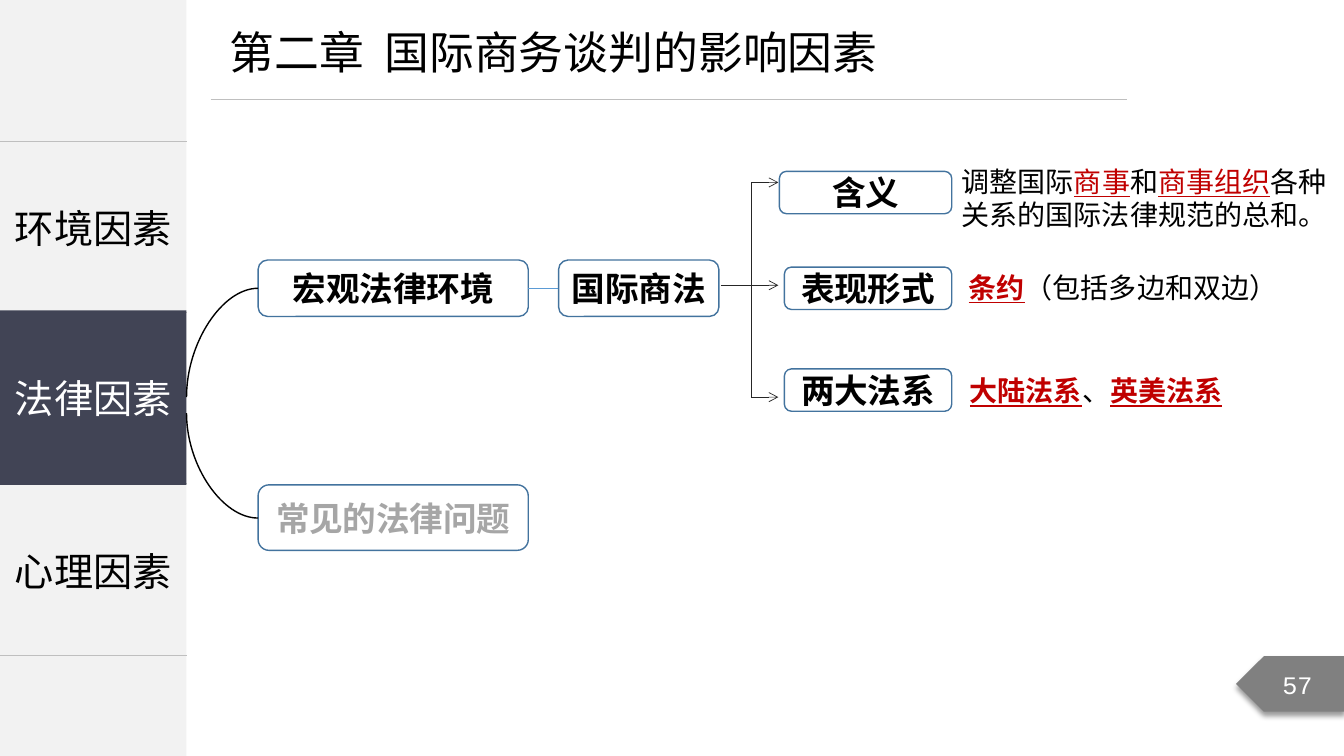
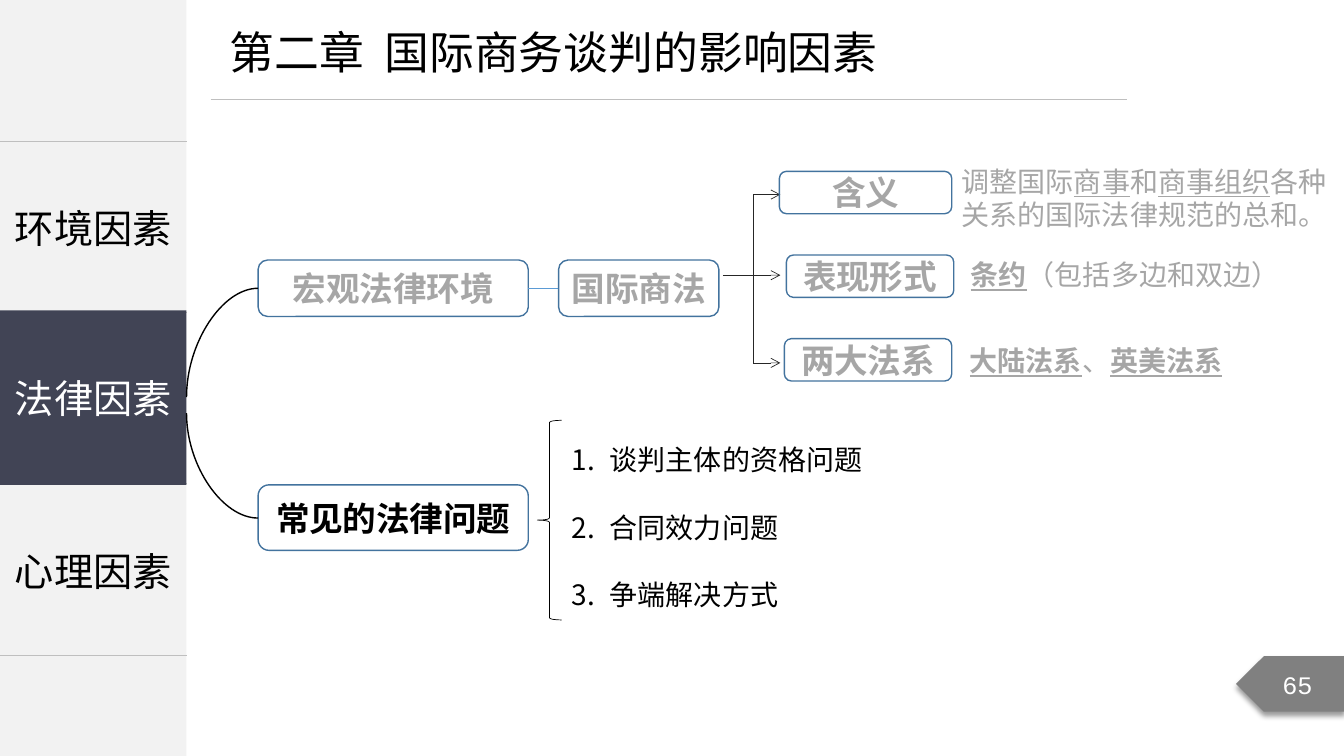
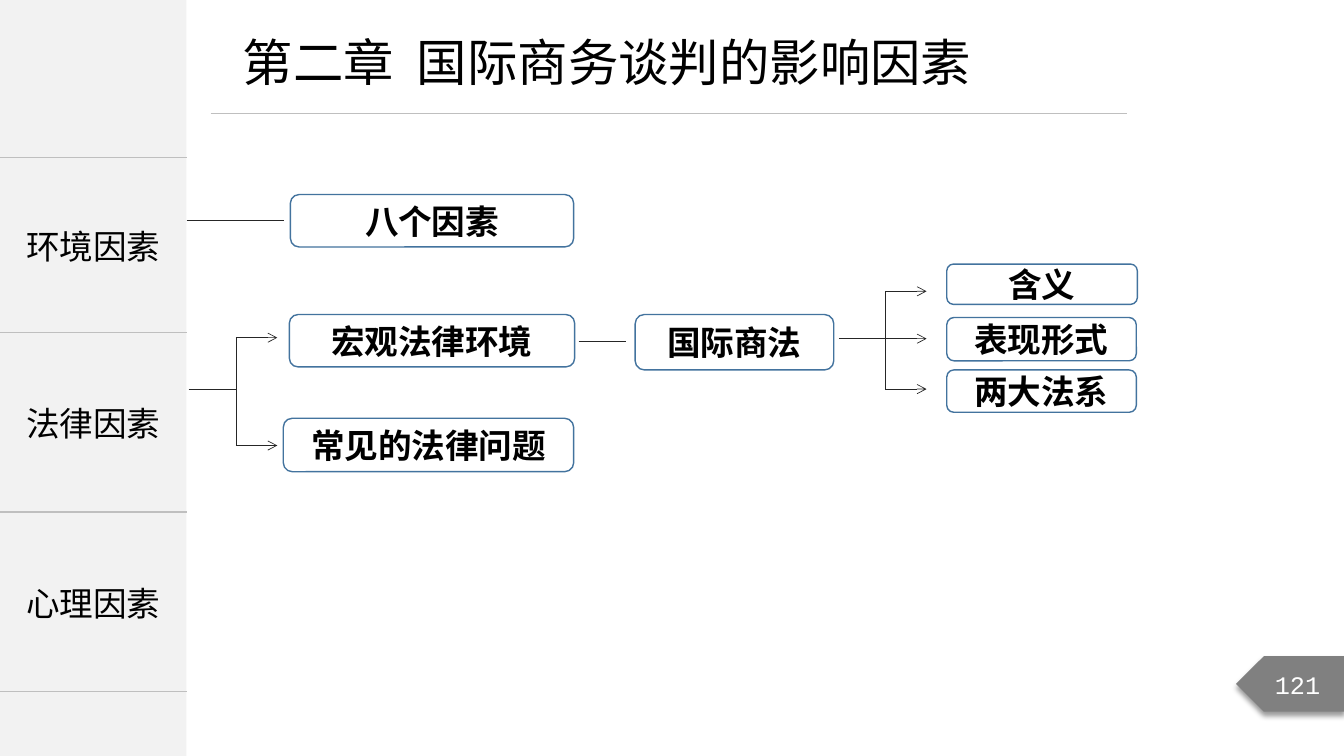
from dataclasses import dataclass

from pptx import Presentation
from pptx.dml.color import RGBColor
from pptx.enum.shapes import MSO_CONNECTOR, MSO_SHAPE
from pptx.enum.text import MSO_ANCHOR, MSO_AUTO_SIZE, PP_ALIGN
from pptx.oxml import parse_xml
from pptx.oxml.ns import nsdecls, qn
from pptx.util import Inches, Pt


@dataclass(frozen=True)
class Theme:
    ink: str = "000000"
    muted: str = "A6A6A6"
    accent: str = "C00000"
    paper: str = "FFFFFF"
    panel: str = "F2F2F2"
    active: str = "414455"
    rule: str = "BFBFBF"
    outline: str = "43739E"
    link: str = "5B9BD5"
    branch: str = "262626"
    badge: str = "808080"
    font: str = "Noto Sans CJK SC"
    number_font: str = "Courier New"
    sidebar_width: float = 1.85
    title_size: int = 32
    title_large: int = 36
    chapter_size: int = 28
    node_size: int = 24
    body_size: int = 20
    number_size: int = 18
    thin: float = 0.5
    medium: float = 1


THEME = Theme()
TITLE = "第二章  国际商务谈判的影响因素"
CHAPTERS = ["环境因素", "法律因素", "心理因素"]
PLAIN = {}
MARKED = {"underline": True}
STRONG = {"underline": True, "bold": True}


def element(xml):
    """Build one DrawingML element written without its namespace."""
    tag, rest = xml[1:].split(" ", 1)
    return parse_xml(f"<{tag} {nsdecls('a')} {rest}")


class Board:
    def __init__(self, deck, theme):
        self.deck, self.theme = deck, theme
        self.page = None

    # Text
    def add_span(self, para, text, size, color, font=None, spacing=None, **formats):
        span = para.add_run()
        span.text = text
        name = font or self.theme.font
        formats = {"name": name, "size": Pt(size), **formats}
        for attribute, value in formats.items():
            setattr(span.font, attribute, value)
        span.font.color.rgb = RGBColor.from_string(color)
        properties = span.font._element
        properties.find(qn("a:latin")).addnext(element(f'<a:ea typeface="{name}"/>'))
        if spacing:
            properties.set("spc", str(spacing))

    def text(self, at, spans, marked_color, color, wrap=True):
        """One paragraph; spans with a format take the marked colour."""
        frame = self.text_frame(at, wrap)
        for words, formats in spans:
            shade = marked_color if formats else color
            self.add_span(frame.paragraphs[0], words, self.theme.body_size, shade,
                          **formats)

    def text_frame(self, at, wrap=True):
        frame = self.page.shapes.add_textbox(*map(Inches, at)).text_frame
        frame.word_wrap = wrap
        frame.auto_size = MSO_AUTO_SIZE.SHAPE_TO_FIT_TEXT
        return frame

    def numbered(self, at, items):
        frame = self.text_frame(at)
        for index, item in enumerate(items):
            para = frame.paragraphs[0] if index == 0 else frame.add_paragraph()
            para.line_spacing = 2.0
            properties = para._p.get_or_add_pPr()
            properties.set("marL", str(Inches(0.38)))
            properties.set("indent", str(Inches(-0.38)))
            properties.append(element('<a:buAutoNum type="arabicPeriod"/>'))
            self.add_span(para, item, self.theme.body_size, self.theme.ink)

    # Shapes
    def shape(self, kind, at, fill=None, line=None, width=THEME.medium):
        box = self.page.shapes.add_shape(kind, *map(Inches, at))
        box.shadow.inherit = False
        if fill:
            box.fill.solid()
            box.fill.fore_color.rgb = RGBColor.from_string(fill)
        else:
            box.fill.background()
        if line:
            box.line.color.rgb = RGBColor.from_string(line)
            box.line.width = Pt(width)
        else:
            box.line.fill.background()
        return box

    def label(self, box, text, size, color, **formats):
        frame = box.text_frame
        frame.word_wrap = True
        frame.vertical_anchor = MSO_ANCHOR.MIDDLE
        frame.paragraphs[0].alignment = PP_ALIGN.CENTER
        self.add_span(frame.paragraphs[0], text, size, color, **formats)

    def node(self, text, at, color=THEME.ink):
        box = self.shape(MSO_SHAPE.ROUNDED_RECTANGLE, at, line=self.theme.outline)
        self.label(box, text, self.theme.node_size, color, bold=True, spacing=-10)

    # Lines
    def line(self, start, end, color=THEME.branch, width=THEME.thin,
             arrow=False, curved=False):
        kind = MSO_CONNECTOR.CURVE if curved else MSO_CONNECTOR.STRAIGHT
        link = self.page.shapes.add_connector(kind, *map(Inches, (*start, *end)))
        link.line.color.rgb = RGBColor.from_string(color)
        link.line.width = Pt(width)
        properties = link._element.spPr
        if arrow:
            properties.find(qn("a:ln")).append(element('<a:tailEnd type="arrow"/>'))
        if curved:
            properties.find(qn("a:prstGeom")).set("prst", "curvedConnector2")
        properties.append(element("<a:effectLst />"))

    def fork(self, stem, spine_x, tip_x, tips):
        """A stem that meets an upright spine with an arrow at each tip."""
        self.line(stem, (spine_x, stem[1]))
        self.line((spine_x, min(tips)), (spine_x, max(tips)))
        for y in tips:
            self.line((spine_x, y), (tip_x, y), arrow=True)

    # Frame shared by all pages
    def start(self, number, title_at, title_size, rule_y):
        theme = self.theme
        self.page = self.deck.slides.add_slide(self.deck.slide_layouts[5])
        self.shape(MSO_SHAPE.RECTANGLE, (0, 0, theme.sidebar_width, 7.5), theme.panel)
        title = self.page.shapes.title
        for side, value in zip(("left", "top", "width", "height"), title_at):
            setattr(title, side, Inches(value))
        frame = title.text_frame
        frame.word_wrap = False
        frame.auto_size = MSO_AUTO_SIZE.SHAPE_TO_FIT_TEXT
        frame.vertical_anchor = MSO_ANCHOR.TOP
        frame.paragraphs[0].alignment = PP_ALIGN.LEFT
        self.add_span(frame.paragraphs[0], TITLE, title_size, theme.ink)
        self.line((2.09, rule_y), (11.18, rule_y), theme.rule)
        self.badge(number)

    def badge(self, number):
        theme = self.theme
        box = self.shape(MSO_SHAPE.PENTAGON, (12.26, 6.51, 1.08, 0.55), theme.badge)
        box._element.spPr.find(qn("a:xfrm")).set("flipH", "1")
        box._element.spPr.find(qn("a:effectLst")).append(element(
            f'<a:outerShdw blurRad="{Pt(4)}" dist="{Pt(3)}" dir="5400000" '
            'algn="t" rotWithShape="0"><a:srgbClr val="000000">'
            '<a:alpha val="40000"/></a:srgbClr></a:outerShdw>'))
        self.label(box, str(number), theme.number_size, theme.paper,
                   font=theme.number_font)

    def chapters(self, top, heights, size):
        theme = self.theme
        area = (0, top, theme.sidebar_width, sum(heights))
        table = self.page.shapes.add_table(len(CHAPTERS), 1, *map(Inches, area)).table
        table.first_row = table.horz_banding = False
        for row, height, chapter in zip(table.rows, heights, CHAPTERS):
            row.height = Inches(height)
            cell = row.cells[0]
            cell.vertical_anchor = MSO_ANCHOR.MIDDLE
            properties = cell._tc.get_or_add_tcPr()
            for side in "LR":
                properties.append(element(f'<a:ln{side} w="0"><a:noFill/></a:ln{side}>'))
            for side in "TB":
                properties.append(element(
                    f'<a:ln{side} w="{Pt(theme.medium)}"><a:solidFill>'
                    f'<a:srgbClr val="{theme.rule}"/></a:solidFill></a:ln{side}>'))
            cell.fill.background()
            para = cell.text_frame.paragraphs[0]
            para.alignment = PP_ALIGN.CENTER
            self.add_span(para, chapter, size, theme.ink)


def law_page(board, number, law_color, marked_color, issue_color, spine_x, stem_y,
             tips, form_at, system_y):
    """The map of legal factors, with one of its two branches in focus."""
    theme = board.theme
    board.start(number, (2.18, 0.19, 6.93, 0.64), theme.title_size, 0.99)
    board.chapters(1.4, [1.7] * 3, theme.chapter_size)
    current = board.shape(MSO_SHAPE.RECTANGLE, (0, 3.08, theme.sidebar_width, 1.73),
                          theme.active)
    board.label(current, CHAPTERS[1], theme.chapter_size, theme.paper)

    # Two main branches
    board.node("常见的法律问题", (2.56, 4.81, 2.68, 0.65), issue_color)
    board.node("宏观法律环境", (2.56, 2.58, 2.68, 0.56), law_color)
    for node_y, root_y in ((2.86, 3.94), (5.14, 4.1)):
        board.line((2.56, node_y), (theme.sidebar_width, root_y), theme.ink,
                   theme.medium, curved=True)
    board.line((5.24, 2.86), (5.54, 2.86), theme.link)
    board.node("国际商法", (5.54, 2.58, 1.59, 0.56), law_color)

    # Commercial law and its three aspects
    board.fork((spine_x - 0.3, stem_y), spine_x, spine_x + 0.27, tips)
    form_x, form_y = form_at
    board.node("含义", (7.73, 1.7, 1.71, 0.42), law_color)
    board.node("表现形式", (form_x, form_y, 1.66, 0.42), law_color)
    board.node("两大法系", (7.78, system_y, 1.66, 0.42), law_color)
    colors = (marked_color, law_color)
    board.text((9.44, 1.58, 3.89, 0.77), [
        ("调整国际", PLAIN), ("商事", MARKED), ("和", PLAIN), ("商事组织", MARKED),
        ("各种关系的国际法律规范的总和。", PLAIN)], *colors)
    board.text((form_x + 1.73, form_y - 0.02, 3.9, 0.44),
               [("条约", STRONG), ("（包括多边和双边）", PLAIN)], *colors)
    board.text((9.52, system_y, 2.74, 0.44),
               [("大陆法系", STRONG), ("、", PLAIN), ("英美法系", STRONG)],
               *colors, wrap=False)


def issues(board):
    """The list of common legal issues."""
    board.shape(MSO_SHAPE.LEFT_BRACE, (5.33, 4.17, 0.24, 1.98),
                line=board.theme.ink, width=board.theme.thin)
    board.numbered((5.57, 4.01, 3.32, 2.12),
                   ["谈判主体的资格问题", "合同效力问题", "争端解决方式"])


def summary_page(board, number):
    """The overview of all factors covered so far."""
    theme = board.theme
    board.start(number, (2.31, 0.26, 7.78, 0.71), theme.title_large, 1.12)
    board.chapters(1.56, [1.74, 1.78, 1.78], theme.node_size)
    for text, at in {
        "八个因素": (2.88, 1.93, 2.81, 0.52),
        "宏观法律环境": (2.87, 3.12, 2.83, 0.52),
        "常见的法律问题": (2.81, 4.15, 2.88, 0.53),
        "国际商法": (6.3, 3.12, 1.97, 0.55),
        "含义": (9.39, 2.62, 1.89, 0.4),
        "表现形式": (9.39, 3.15, 1.88, 0.43),
        "两大法系": (9.39, 3.67, 1.88, 0.42),
    }.items():
        board.node(text, at)
    board.line((theme.sidebar_width, 2.19), (2.82, 2.19))
    board.line((5.74, 3.39), (6.21, 3.39))
    board.fork((1.87, 3.86), 2.34, 2.75, (3.35, 4.42))
    board.fork((8.32, 3.36), 8.78, 9.19, (2.89, 3.36, 3.86))


def main():
    deck = Presentation()
    deck.slide_width, deck.slide_height = Inches(13.33), Inches(7.5)
    board = Board(deck, THEME)
    law_page(board, 57, THEME.ink, THEME.accent, THEME.muted, spine_x=7.45,
             stem_y=2.83, tips=(1.81, 2.83, 3.94), form_at=(7.78, 2.65), system_y=3.66)
    law_page(board, 65, THEME.muted, THEME.muted, THEME.ink, spine_x=7.47,
             stem_y=2.73, tips=(1.93, 2.73, 3.6), form_at=(7.8, 2.53), system_y=3.36)
    issues(board)
    summary_page(board, 121)
    deck.save("out.pptx")


if __name__ == "__main__":
    main()
